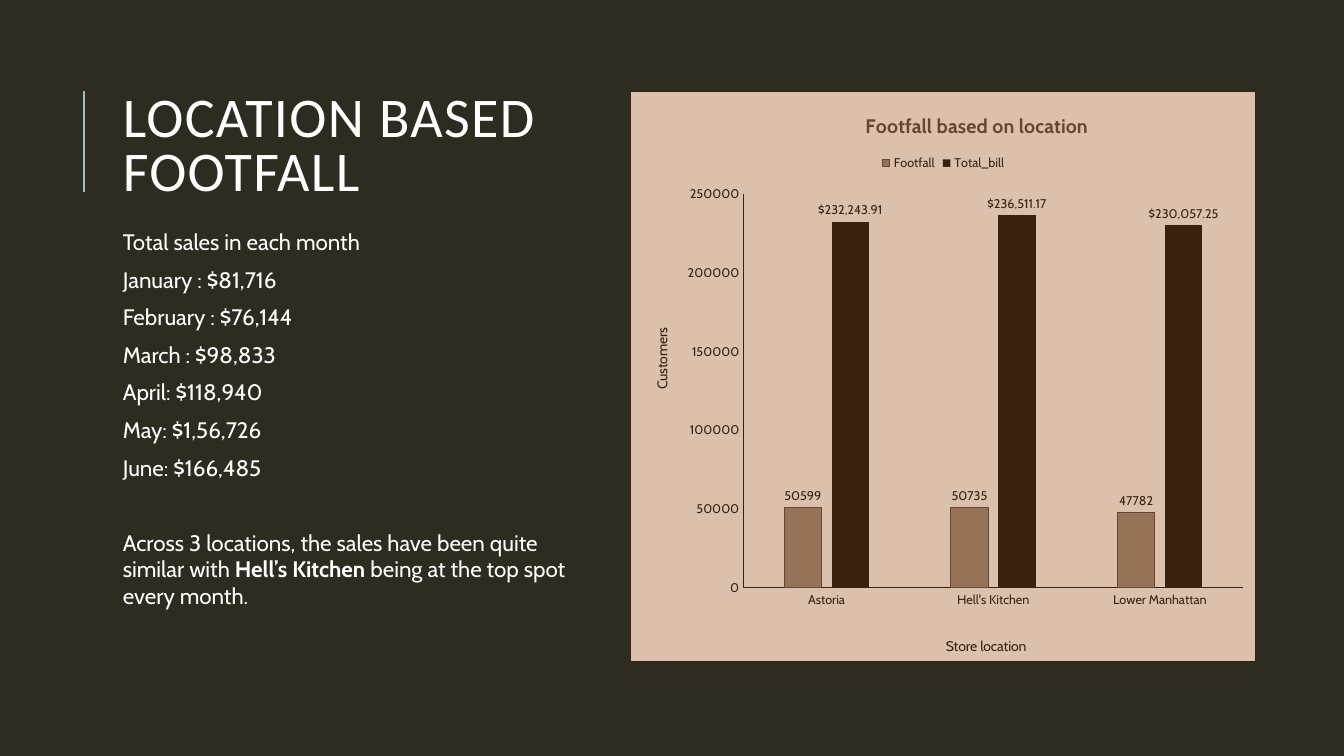
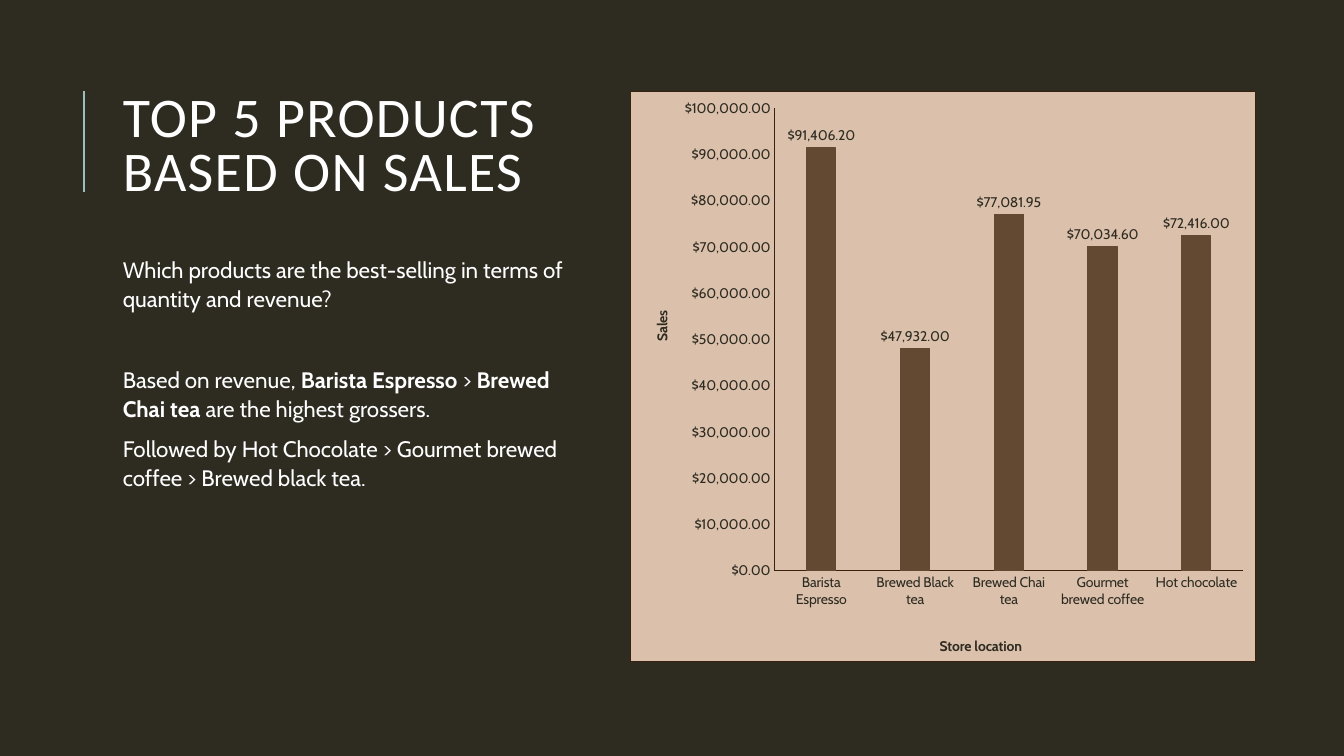
from lxml import etree
from pptx import Presentation
from pptx.chart.data import CategoryChartData
from pptx.dml.color import RGBColor
from pptx.enum.chart import XL_CHART_TYPE as ChartType, XL_LABEL_POSITION as LabelPos
from pptx.enum.chart import XL_LEGEND_POSITION as LegendPos, XL_TICK_MARK as Tick
from pptx.enum.shapes import MSO_CONNECTOR as Connector
from pptx.enum.text import MSO_ANCHOR as Anchor
from pptx.oxml import parse_xml
from pptx.oxml.ns import nsdecls, qn
from pptx.util import Inches, Pt

COLORS = {"back": "2E2B21", "text": "FFFFFF", "rule": "9CBEBD", "panel": "DBC1AC",
          "espresso": "38220F", "mocha": "634832", "latte": "967259"}
TITLE_FONT, BODY_FONT = "Calibri", "Cabin"
DOLLARS = r"\$#,##0.00;\(\$#,##0.00\);\$#,##0.00"

# Shared regions: left, top, width, height in inches
TITLE_BOX = (1.12, 0.52, 4.8, 1.9)
CHART_BOX = (6.25, 0.9, 6.21, 5.67)
BODY_LEFT, BODY_WIDTH, BODY_HEIGHT = 1.12, 4.8, 4.11
RULE_X, RULE_TOP, RULE_BOTTOM = 0.83, 0.9, 1.9


def rgb(name):
    return RGBColor.from_string(COLORS[name])


def style(font, color, **values):
    font.color.rgb = rgb(color)
    for attr, value in values.items():
        setattr(font, attr, value)


def text_frame(slide, box, anchor):
    frame = slide.shapes.add_textbox(*map(Inches, box)).text_frame
    frame.word_wrap = True
    frame.vertical_anchor = anchor
    return frame


def add_title(slide, box, title):
    para = text_frame(slide, box, Anchor.MIDDLE).paragraphs[0]
    para.line_spacing = 0.8
    run = para.add_run()
    run.text = title
    style(run.font, "text", size=Pt(40), name=TITLE_FONT)
    run.font._element.set("spc", "100")


def add_body(slide, box, paragraphs, line_spacing, gap_before, gap):
    """Paragraphs are lists of runs; every second run is bold."""
    frame = text_frame(slide, box, Anchor.TOP)
    for i, runs in enumerate(paragraphs):
        para = frame.paragraphs[0] if i == 0 else frame.add_paragraph()
        para.line_spacing = line_spacing
        para.space_after = Pt(2)
        if i:
            para.space_before = Pt(gap if i == gap_before else 6)
        for j, words in enumerate(runs):
            run = para.add_run()
            run.text = words
            style(run.font, "text", size=Pt(16), name=BODY_FONT, bold=j % 2 == 1)


def layout_xml(values, inner=False):
    target = '<c:layoutTarget val="inner"/>' if inner else ""
    parts = "".join(f'<c:{key} val="{value}"/>' for key, value in zip("xywh", values))
    return parse_xml(f'<c:layout {nsdecls("c")}><c:manualLayout>{target}<c:xMode val="edge"/>'
                     f'<c:yMode val="edge"/>{parts}</c:manualLayout></c:layout>')


def set_layout(element, after, layout):
    for old in element.findall(qn("c:layout")):
        element.remove(old)
    if after is None:
        element.insert(0, layout)
    else:
        element.find(qn(after)).addnext(layout)


def add_chart_text(holder, words, place, color, size, bold):
    """Fill a chart or axis title and pin its top left corner."""
    frame = holder.text_frame
    frame.text = words
    style(frame.paragraphs[0].runs[0].font, color, size=Pt(size), bold=bold, name=BODY_FONT)
    set_layout(holder._element, "c:tx", layout_xml(place))
    return frame


def paint_panel(chart):
    panel = parse_xml(
        f'<c:spPr {nsdecls("c", "a")}><a:solidFill><a:srgbClr val="{COLORS["panel"]}"/></a:solidFill>'
        f'<a:ln w="{Pt(0.75)}"><a:solidFill><a:srgbClr val="{COLORS["espresso"]}"/></a:solidFill>'
        '</a:ln></c:spPr>')
    chart._chartSpace.find(qn("c:chart")).addnext(panel)


def add_columns(slide, box, categories, series, plot_area, axes, top, step,
                color, size, title=None, value_format="General", bold_axes=False):
    """Series: (name, values, fill, line or None, label format); axes: (words, place)."""
    data = CategoryChartData()
    data.categories = categories
    for name, values, *_ in series:
        data.add_series(name, values)
    chart = slide.shapes.add_chart(ChartType.COLUMN_CLUSTERED, *map(Inches, box), data).chart
    style(chart.font, color, size=Pt(10), name=BODY_FONT)
    paint_panel(chart)
    set_layout(chart._chartSpace.find(".//" + qn("c:plotArea")), None,
               layout_xml(plot_area, inner=True))

    # Heading and legend
    chart.has_title = title is not None
    if title:
        add_chart_text(chart.chart_title, title, (0.37, 0.03), "mocha", 14, True)
    chart.has_legend = len(series) > 1
    if chart.has_legend:
        chart.legend.position = LegendPos.TOP
        chart.legend.include_in_layout = False
        style(chart.legend.font, color, size=Pt(size), name=BODY_FONT)

    # Axes
    for axis, (words, place) in zip((chart.category_axis, chart.value_axis), axes):
        axis.has_major_gridlines = False
        axis.major_tick_mark = axis.minor_tick_mark = Tick.NONE
        axis.format.line.color.rgb = rgb("espresso")
        axis.format.line.width = Pt(0.75)
        style(axis.tick_labels.font, color, size=Pt(size), name=BODY_FONT)
        frame = add_chart_text(axis.axis_title, words, place, color, 10, bold_axes)
    frame._txBody.bodyPr.set("rot", "-5400000")
    frame._txBody.bodyPr.set("vert", "horz")
    values_axis = chart.value_axis
    values_axis.minimum_scale, values_axis.maximum_scale, values_axis.major_unit = 0, top, step
    values_axis.tick_labels.number_format = value_format
    values_axis.tick_labels.number_format_is_linked = False

    # Columns
    plot = chart.plots[0]
    plot.gap_width, plot.overlap, plot.vary_by_categories = 219, -27, False
    for columns, (_, _, fill, line, label_format) in zip(plot.series, series):
        columns.format.fill.solid()
        columns.format.fill.fore_color.rgb = rgb(fill)
        if line:
            columns.format.line.color.rgb = rgb(line)
            columns.format.line.width = Pt(0.75)
        else:
            columns.format.line.fill.background()
        labels = columns.data_labels
        labels.show_value = True
        labels.position = LabelPos.OUTSIDE_END
        labels.number_format = label_format
        labels.number_format_is_linked = False
        style(labels.font, color, size=Pt(size), name=BODY_FONT)


def add_rule(slide):
    rule = slide.shapes.add_connector(Connector.STRAIGHT, *map(
        Inches, (RULE_X, RULE_BOTTOM, RULE_X, RULE_TOP)))
    rule.line.color.rgb = rgb("rule")
    rule.line.width = Pt(1.5)
    etree.SubElement(rule._element.spPr, qn("a:effectLst"))


def add_report(prs, title, body_top, body, chart):
    slide = prs.slides.add_slide(prs.slide_layouts[6])
    slide.background.fill.solid()
    slide.background.fill.fore_color.rgb = rgb("back")
    add_rule(slide)
    add_title(slide, TITLE_BOX, title)
    add_body(slide, (BODY_LEFT, body_top, BODY_WIDTH, BODY_HEIGHT), **body)
    add_columns(slide, CHART_BOX, **chart)


LOCATIONS = {
    "title": "LOCATION BASED FOOTFALL",
    "body_top": 2.23,
    "body": {
        "paragraphs": [
            ["Total sales in each month"], ["January : $81,716"], ["February : $76,144"],
            ["March : $98,833"], ["April: $118,940"], ["May: $1,56,726"], ["June: $166,485"],
            ["Across 3 locations, the sales have been quite similar with ", "Hell’s Kitchen ",
             "being at the top spot every month."]],
        "line_spacing": 0.98, "gap_before": 7, "gap": 33},
    "chart": {
        "categories": ["Astoria", "Hell's Kitchen", "Lower Manhattan"],
        "series": [
            ("Footfall", (50599, 50735, 47782), "latte", "mocha", "General"),
            ("Total_bill", (232243.91, 236511.17, 230057.25), "espresso", None, DOLLARS)],
        "plot_area": (0.18, 0.18, 0.8, 0.69),
        "axes": [("Store location", (0.5, 0.95)), ("Customers", (0.03, 0.41))],
        "top": 250000, "step": 50000, "color": "espresso", "size": 9,
        "title": "Footfall based on location"},
}

PRODUCTS = {
    "title": "TOP 5 PRODUCTS BASED ON SALES",
    "body_top": 2.47,
    "body": {
        "paragraphs": [
            ["Which products are the best-selling in terms of quantity and revenue?"],
            ["Based on revenue, ", "Barista Espresso ", "> ", "Brewed Chai tea",
             " are the highest grossers."],
            ["Followed by Hot Chocolate > Gourmet brewed coffee > Brewed black tea."]],
        "line_spacing": 1.08, "gap_before": 1, "gap": 35},
    "chart": {
        "categories": ["Barista Espresso", "Brewed Black tea", "Brewed Chai tea",
                       "Gourmet brewed coffee", "Hot chocolate"],
        "series": [("Series 1", (91406.2, 47932, 77081.95, 70034.6, 72416),
                    "mocha", "mocha", DOLLARS)],
        "plot_area": (0.23, 0.03, 0.75, 0.81),
        "axes": [("Store location", (0.49, 0.95)), ("Sales", (0.03, 0.38))],
        "top": 100000, "step": 10000, "color": "back", "size": 10,
        "value_format": DOLLARS, "bold_axes": True},
}


def main():
    prs = Presentation()
    prs.slide_width, prs.slide_height = Inches(13.33), Inches(7.5)
    for report in (LOCATIONS, PRODUCTS):
        add_report(prs, **report)
    prs.save("out.pptx")


if __name__ == "__main__":
    main()
